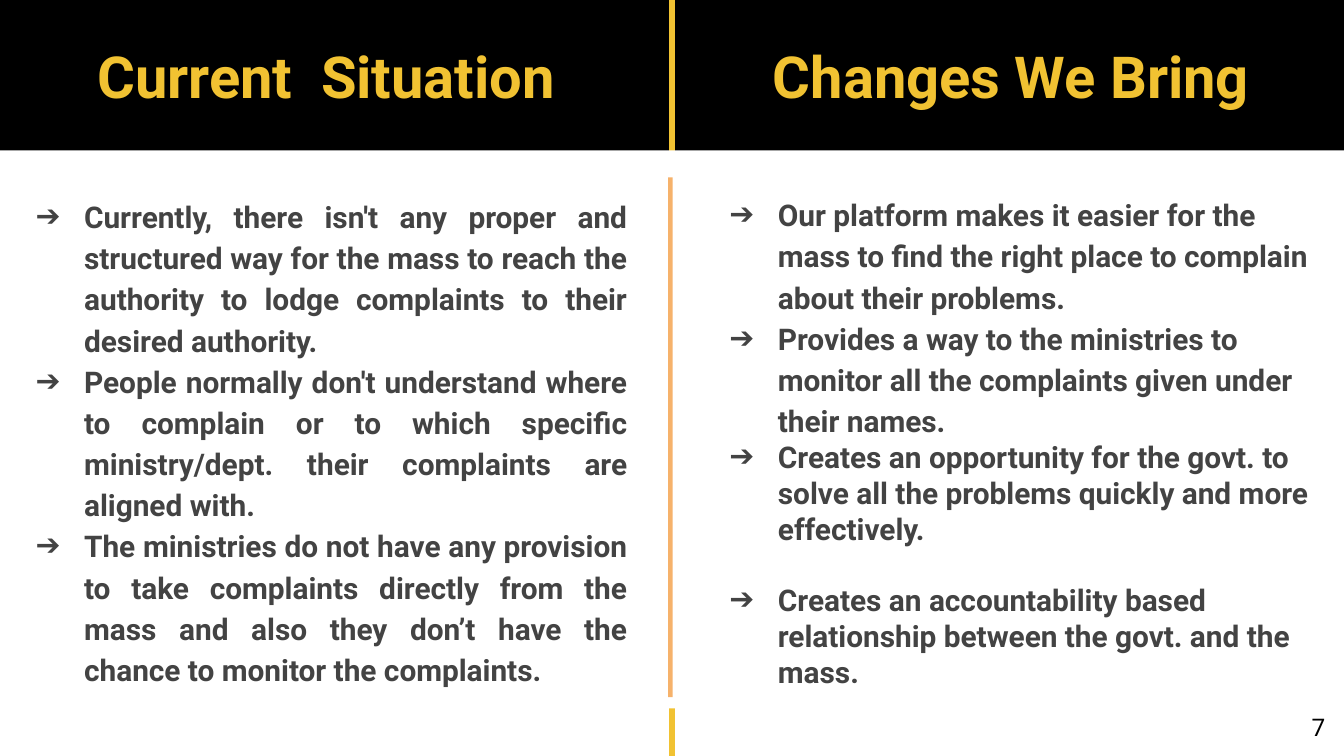
from lxml.etree import SubElement
from pptx import Presentation
from pptx.dml.color import RGBColor
from pptx.enum.shapes import MSO_CONNECTOR as CONN, MSO_SHAPE as SHAPE
from pptx.enum.text import MSO_ANCHOR as ANCHOR, PP_ALIGN as ALIGN
from pptx.oxml.ns import qn
from pptx.util import Pt


def rgb(value):
    return RGBColor.from_string(value)


class Deck:
    font = "Roboto"
    black = "000000"
    white = "FFFFFF"
    gold = "F1C232"
    orange = "F6B26B"
    grey = "434343"
    inset = 7.2

    def __init__(self, prs):
        self.s = prs.slides.add_slide(prs.slide_layouts[6])

    def rect(self, x, y, w, h, color):
        sp = self.s.shapes.add_shape(SHAPE.RECTANGLE, Pt(x), Pt(y), Pt(w), Pt(h))
        sp.shadow.inherit = False
        sp.fill.solid()
        sp.fill.fore_color.rgb = rgb(color)
        sp.line.fill.background()

    def line(self, x1, y1, x2, y2, color, width):
        cn = self.s.shapes.add_connector(CONN.STRAIGHT, Pt(x1), Pt(y1), Pt(x2), Pt(y2))
        cn.line.color.rgb = rgb(color)
        cn.line.width = Pt(width)
        SubElement(cn._element.spPr, qn("a:effectLst"))

    def text(self, x, y, w, h, lines, size, color, bold=True,
             align=ALIGN.LEFT, anchor=ANCHOR.TOP):
        sp = self.s.shapes.add_textbox(Pt(x), Pt(y), Pt(w), Pt(h))
        tf = sp.text_frame
        tf.word_wrap = True
        tf.vertical_anchor = anchor
        tf.margin_left = tf.margin_right = Pt(self.inset)
        tf.margin_top = tf.margin_bottom = Pt(self.inset)
        tf.text = "\n".join(lines)
        for p in tf.paragraphs:
            p.alignment = align
            for r in p.runs:
                r.font.name = self.font
                r.font.size = Pt(size)
                r.font.bold = bold
                r.font.color.rgb = rgb(color)
        return tf.paragraphs

    def title(self, x, y, w, h, text, align):
        self.text(x, y, w, h, [text], 31, self.gold, align=align)

    def bullets(self, x, y, w, h, items, align):
        lines = [text for text, spacing, before in items]
        paragraphs = self.text(x, y, w, h, lines, 16, self.grey, align=align)
        for p, (text, spacing, before) in zip(paragraphs, items):
            p.line_spacing = spacing
            p.space_before = Pt(before)
            pPr = p._p.get_or_add_pPr()
            pPr.set("marL", str(Pt(36)))
            pPr.set("indent", str(Pt(-26)))
            clr = SubElement(pPr, qn("a:buClr"))
            SubElement(clr, qn("a:srgbClr"), val=self.grey)
            SubElement(pPr, qn("a:buFont"), typeface=self.font)
            SubElement(pPr, qn("a:buChar"), char="➔")


CURRENT = [
    ("Currently, there isn't any proper and structured way for the mass to reach "
     "the authority to lodge complaints to their desired authority.", 1.15, 0),
    ("People normally don't understand where to complain or to which specific "
     "ministry/dept. their complaints are aligned with.", 1.15, 0),
    ("The ministries do not have any provision to take complaints directly from "
     "the mass and also they don’t have the chance to monitor the complaints.", 1.15, 0),
]
CHANGES = [
    ("Our platform makes it easier for the mass to find the right place to "
     "complain about their problems.", 1.15, 0),
    ("Provides a way to the ministries to monitor all the complaints given "
     "under their names.", 1.15, 0),
    ("Creates an opportunity for the govt. to solve all the problems quickly "
     "and more effectively.", 1.0, 0),
    ("Creates an accountability based relationship between the govt. and the "
     "mass.", 1.0, 19.2),
]


def main():
    prs = Presentation()
    prs.slide_width, prs.slide_height = Pt(720), Pt(405)
    d = Deck(prs)
    d.rect(0, 0, 720, 203, d.black)
    d.line(360, -1.5, 360, 406.5, d.gold, 3)
    d.title(45, 14.4, 364, 152, "Current  Situation", ALIGN.LEFT)
    d.title(382.5, 14.4, 318, 72, "Changes We Bring", ALIGN.CENTER)
    d.text(674, 374, 43, 31, ["7"], 13, d.black, False, ALIGN.RIGHT, ANCHOR.MIDDLE)
    d.rect(-8, 80.6, 747, 299, d.white)
    d.rect(358, 95, 2.4, 278.6, d.orange)
    d.bullets(2, 96.4, 341.3, 291.6, CURRENT, ALIGN.JUSTIFY)
    d.bullets(373.7, 95.4, 341.3, 298.8, CHANGES, ALIGN.LEFT)
    prs.save("out.pptx")


if __name__ == "__main__":
    main()
